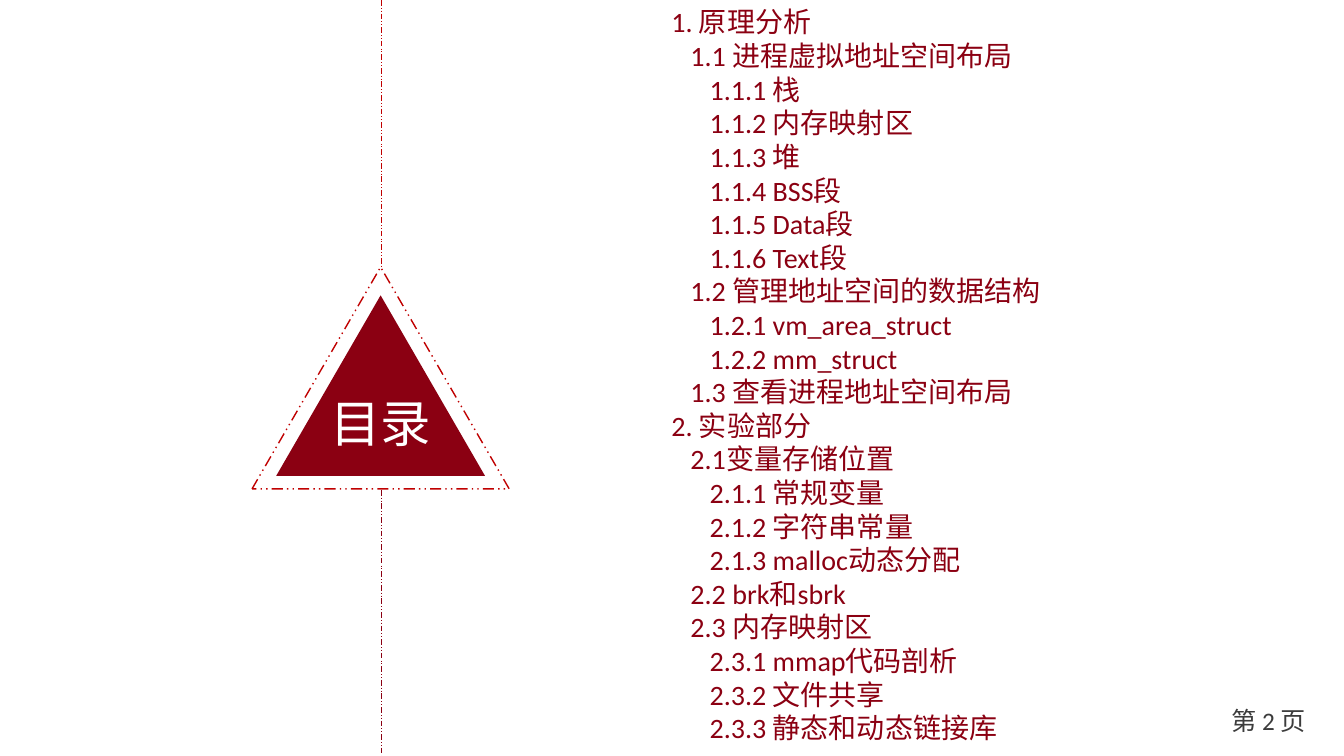
import pptx
import pptx.util
import pptx.dml.color
import pptx.enum.dml
import pptx.enum.shapes
import pptx.enum.text
import pptx.oxml
import pptx.oxml.ns
from dataclasses import dataclass

Inches = pptx.util.Inches
Pt = pptx.util.Pt
RGB = pptx.dml.color.RGBColor.from_string
ALIGN = pptx.enum.text.PP_ALIGN
ANCHOR = pptx.enum.text.MSO_ANCHOR
TRIANGLE = pptx.enum.shapes.MSO_SHAPE.ISOSCELES_TRIANGLE


@dataclass(frozen=True)
class Theme:
    wine: str = "8B0012"
    red: str = "C00000"
    white: str = "FFFFFF"
    grey: str = "3C3C3C"
    latin: str = "Calibri"
    cjk: str = "Noto Sans CJK SC"
    title_size: int = 36
    outline_size: int = 20
    page_size: int = 18
    indent: float = 0.19


class SlideBuilder:
    def __init__(self, prs, theme):
        self.theme = theme
        self.slide = prs.slides.add_slide(prs.slide_layouts[6])

    def style(self, p, font, size, color, align=ALIGN.LEFT):
        p.alignment = align
        p.font.name = font
        p.font.size = Pt(size)
        p.font.color.rgb = RGB(color)
        ea = pptx.oxml.parse_xml(f'<a:ea {pptx.oxml.ns.nsdecls("a")} typeface="{self.theme.cjk}"/>')
        p._p.pPr.find(pptx.oxml.ns.qn("a:defRPr")).append(ea)

    def dash(self, line, color, width):
        line.color.rgb = RGB(color)
        line.width = Pt(width)
        line.dash_style = pptx.enum.dml.MSO_LINE.DASH_DOT_DOT

    def triangle(self, x, y, w, h):
        sp = self.slide.shapes.add_shape(TRIANGLE, Inches(x), Inches(y), Inches(w), Inches(h))
        sp.shadow.inherit = False
        return sp

    def filled_triangle(self, x, y, w, h, text):
        sp = self.triangle(x, y, w, h)
        sp.fill.solid()
        sp.fill.fore_color.rgb = RGB(self.theme.wine)
        sp.line.fill.background()
        tf = sp.text_frame
        tf.margin_left = tf.margin_top = tf.margin_right = 0
        tf.margin_bottom = Inches(0.16)
        tf.vertical_anchor = ANCHOR.MIDDLE
        p = tf.paragraphs[0]
        p.text = text
        self.style(p, self.theme.cjk, self.theme.title_size, self.theme.white, ALIGN.CENTER)

    def dashed_triangle(self, x, y, w, h):
        sp = self.triangle(x, y, w, h)
        sp.fill.background()
        self.dash(sp.line, self.theme.red, 1)

    def vertical_line(self, x, top, bottom, color):
        line = self.slide.shapes.add_connector(
            pptx.enum.shapes.MSO_CONNECTOR.STRAIGHT,
            Inches(x), Inches(top), Inches(x), Inches(bottom))
        self.dash(line.line, color, 0.5)
        line._element.spPr.append(
            pptx.oxml.parse_xml(f'<a:effectLst {pptx.oxml.ns.nsdecls("a")}/>'))

    def text_box(self, x, y, w, h):
        tf = self.slide.shapes.add_textbox(Inches(x), Inches(y), Inches(w), Inches(h)).text_frame
        tf.word_wrap = True
        return tf

    def outline(self, x, y, w, h, entries):
        """Write (level, text) entries, one paragraph each, indented by level."""
        tf = self.text_box(x, y, w, h)
        for i, (level, text) in enumerate(entries):
            p = tf.add_paragraph() if i else tf.paragraphs[0]
            p.text = text
            pPr = p._p.get_or_add_pPr()
            pPr.set("marL", str(Inches(level * self.theme.indent)))
            pPr.set("indent", "0")
            self.style(p, self.theme.latin, self.theme.outline_size, self.theme.wine)

    def page_number(self, x, y, w, h, text):
        tf = self.text_box(x, y, w, h)
        tf.vertical_anchor = ANCHOR.MIDDLE
        p = tf.paragraphs[0]
        p.text = text
        self.style(p, self.theme.latin, self.theme.page_size, self.theme.grey, ALIGN.RIGHT)


CONTENTS = [
    (0, "1. 原理分析"),
    (1, "1.1 进程虚拟地址空间布局"),
    (2, "1.1.1 栈"),
    (2, "1.1.2 内存映射区"),
    (2, "1.1.3 堆"),
    (2, "1.1.4 BSS段"),
    (2, "1.1.5 Data段"),
    (2, "1.1.6 Text段"),
    (1, "1.2 管理地址空间的数据结构"),
    (2, "1.2.1 vm_area_struct"),
    (2, "1.2.2 mm_struct"),
    (1, "1.3 查看进程地址空间布局"),
    (0, "2. 实验部分"),
    (1, "2.1变量存储位置"),
    (2, "2.1.1 常规变量"),
    (2, "2.1.2 字符串常量"),
    (2, "2.1.3 malloc动态分配"),
    (1, "2.2 brk和sbrk"),
    (1, "2.3 内存映射区"),
    (2, "2.3.1 mmap代码剖析"),
    (2, "2.3.2 文件共享"),
    (2, "2.3.3 静态和动态链接库"),
]


def main():
    prs = pptx.Presentation()
    prs.slide_width = Inches(13.33)
    prs.slide_height = Inches(7.5)
    theme = Theme()
    s = SlideBuilder(prs, theme)
    s.page_number(11.48, 6.95, 1.57, 0.4, "第 2 页")
    s.filled_triangle(2.74, 2.93, 2.07, 1.79, "目录")
    s.dashed_triangle(2.5, 2.65, 2.55, 2.2)
    s.vertical_line(3.78, 0, 2.65, theme.red)
    s.vertical_line(3.78, 4.86, 7.5, theme.wine)
    s.outline(6.56, 0, 4.69, 7.5, CONTENTS)
    prs.save("out.pptx")


if __name__ == "__main__":
    main()
